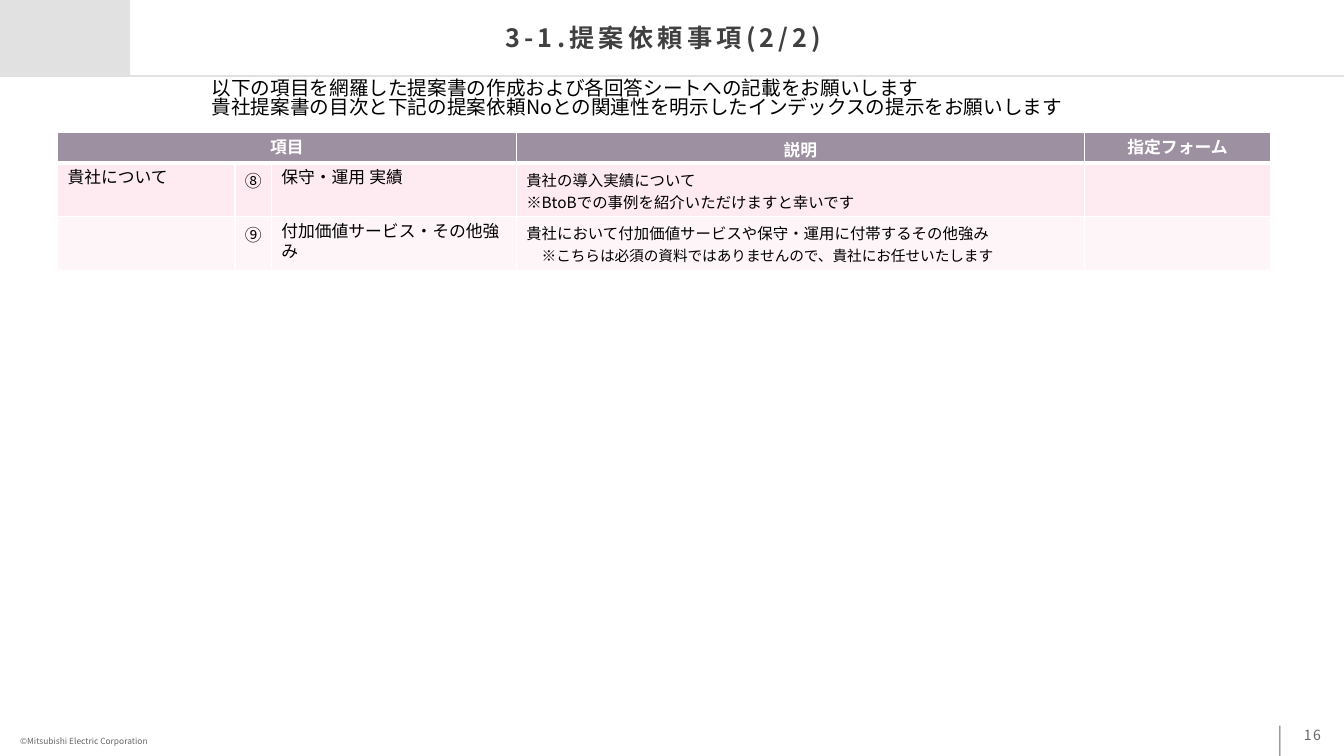
from lxml import etree
from pptx import Presentation
from pptx.dml.color import RGBColor
from pptx.enum.shapes import MSO_CONNECTOR, MSO_SHAPE
from pptx.enum.text import MSO_ANCHOR, PP_ALIGN
from pptx.oxml.ns import qn
from pptx.util import Inches, Pt

LEFT, CENTER, RIGHT = PP_ALIGN.LEFT, PP_ALIGN.CENTER, PP_ALIGN.RIGHT
TOP, MIDDLE = MSO_ANCHOR.TOP, MSO_ANCHOR.MIDDLE
RECTANGLE, STRAIGHT = MSO_SHAPE.RECTANGLE, MSO_CONNECTOR.STRAIGHT
NOTO, ROBOTO = "Noto Sans CJK JP", "Roboto"
GRAY, PALE, WHITE, BLACK = "666666", "E1E1E1", "FFFFFF", "000000"

TITLE = "3-1.提案依頼事項(2/2)"
INTRO = [
    "以下の項目を網羅した提案書の作成および各回答シートへの記載をお願いします",
    "貴社提案書の目次と下記の提案依頼Noとの関連性を明示したインデックスの提示をお願いします",
]
COPYRIGHT = "©Mitsubishi Electric Corporation"
PAGE_NUMBER = "16"
HEADERS = ["項目", "", "", "説明", "指定フォーム"]
ITEMS = [
    ["貴社について", "⑧", "保守・運用 実績",
     ["貴社の導入実績について", "※BtoBでの事例を紹介いただけますと幸いです"], ""],
    ["", "⑨", "付加価値サービス・その他強み",
     ["貴社において付加価値サービスや保守・運用に付帯するその他強み",
      "※こちらは必須の資料ではありませんので、貴社にお任せいたします"], ""],
]
HEADER_FONTS = [ROBOTO, ROBOTO, ROBOTO, NOTO, ROBOTO]
ITEM_FONTS = [ROBOTO, NOTO, ROBOTO, NOTO, ROBOTO]
ITEM_SIZES = [12, 12, 12, 11, 12]
ROW_FILLS = ["9D90A0", "FDEBF1", "FEF5F8"]
COLUMN_WIDTHS = [1.76, 0.36, 2.43, 5.64, 1.84]
ROW_HEIGHTS = [0.31, 0.53, 0.53]

WIDTH, HEIGHT, BAND = 13.33, 7.5, 0.75


def color(hex_string):
    return RGBColor.from_string(hex_string)


def write(frame, text, size=12, font=NOTO, fill=BLACK, bold=False, align=LEFT,
          anchor=TOP, spacing=None, tracking=0, margins=None):
    """Put one line or a list of lines into a text frame, one paragraph each."""
    frame.word_wrap = True
    frame.vertical_anchor = anchor
    if margins:
        frame.margin_left = frame.margin_right = Inches(margins[0])
        frame.margin_top = frame.margin_bottom = Inches(margins[1])
    lines = [text] if isinstance(text, str) else text
    for index, line in enumerate(lines):
        paragraph = frame.add_paragraph() if index else frame.paragraphs[0]
        paragraph.alignment = align
        paragraph.line_spacing = spacing
        run = paragraph.add_run()
        run.text = line
        run.font.size = Pt(size)
        run.font.name = font
        run.font.bold = bold
        run.font.color.rgb = color(fill)
        properties = run.font._element
        if tracking:
            properties.set("spc", str(tracking * 100))
        etree.SubElement(properties, qn("a:ea")).set("typeface", font)


def add_text(slide, text, box, **style):
    shape = slide.shapes.add_textbox(*map(Inches, box))
    write(shape.text_frame, text, **style)


def add_block(slide, box, fill):
    shape = slide.shapes.add_shape(RECTANGLE, *map(Inches, box))
    shape.shadow.inherit = False
    shape.fill.solid()
    shape.fill.fore_color.rgb = color(fill)
    shape.line.fill.background()


def add_rule(slide, y):
    rule = slide.shapes.add_connector(STRAIGHT, 0, Inches(y), Inches(WIDTH), Inches(y))
    rule.line.color.rgb = color(PALE)
    rule.line.width = Pt(1.5)
    etree.SubElement(rule._element.spPr, qn("a:effectLst"))


def paint(cell, fill, top, bottom):
    """Give a cell its white borders, in points, and then its fill."""
    properties = cell._tc.get_or_add_tcPr()
    for side, width in (("L", 1), ("R", 1), ("T", top), ("B", bottom)):
        border = etree.SubElement(properties, qn(f"a:ln{side}"), w=str(Pt(width)))
        solid = etree.SubElement(border, qn("a:solidFill"))
        etree.SubElement(solid, qn("a:srgbClr"), val=WHITE)
    cell.fill.solid()
    cell.fill.fore_color.rgb = color(fill)


def add_request_table(slide):
    frame = slide.shapes.add_table(
        len(ROW_HEIGHTS), len(COLUMN_WIDTHS), Inches(0.57), Inches(1.31),
        Inches(sum(COLUMN_WIDTHS)), Inches(sum(ROW_HEIGHTS)))
    table = frame.table
    for column, width in zip(table.columns, COLUMN_WIDTHS):
        column.width = Inches(width)
    for row, height in zip(table.rows, ROW_HEIGHTS):
        row.height = Inches(height)
    for r, texts in enumerate([HEADERS] + ITEMS):
        for c, text in enumerate(texts):
            cell = table.cell(r, c)
            paint(cell, ROW_FILLS[r], top=3 if r == 1 else 1, bottom=1 if r else 3)
            if not text:
                continue
            if r == 0:
                cell.vertical_anchor = MIDDLE
                write(cell.text_frame, text, font=HEADER_FONTS[c], fill=WHITE,
                      bold=True, align=CENTER, anchor=MIDDLE)
            else:
                write(cell.text_frame, text, size=ITEM_SIZES[c], font=ITEM_FONTS[c])
    table.cell(0, 0).merge(table.cell(0, 2))

    remark = table.cell(2, 3).text_frame.paragraphs[1]
    remark.runs[0].font.size = Pt(10.5)
    indent = remark._p.get_or_add_pPr()
    indent.set("marL", str(Pt(11)))
    indent.set("indent", "0")


def main():
    presentation = Presentation()
    presentation.slide_width, presentation.slide_height = Inches(WIDTH), Inches(HEIGHT)
    slide = presentation.slides.add_slide(presentation.slide_layouts[5])

    title = slide.shapes.title
    title.left, title.top = Inches(1.71), 0
    title.width, title.height = Inches(9.74), Inches(BAND)
    write(title.text_frame, TITLE, size=18, fill="404040", bold=True, align=CENTER,
          anchor=MIDDLE, tracking=3, margins=(0.31, 0.08))

    add_block(slide, (12.69, 7.2, 0.01, 0.3), GRAY)
    add_text(slide, COPYRIGHT, (0.2, 7.27, 1.41, 0.12), size=6, fill=GRAY,
             spacing=1.3, margins=(0, 0))
    add_rule(slide, BAND)
    add_block(slide, (0, 0, 1.29, BAND), PALE)
    add_text(slide, PAGE_NUMBER, (12.5, 7.15, 0.6, 0.29), size=10, fill=GRAY,
             align=RIGHT, anchor=MIDDLE, tracking=1, margins=(0, 0))
    add_text(slide, INTRO, (2, BAND, 9.33, 0.57), size=14, spacing=0.8)
    add_request_table(slide)
    presentation.save("out.pptx")


if __name__ == "__main__":
    main()
